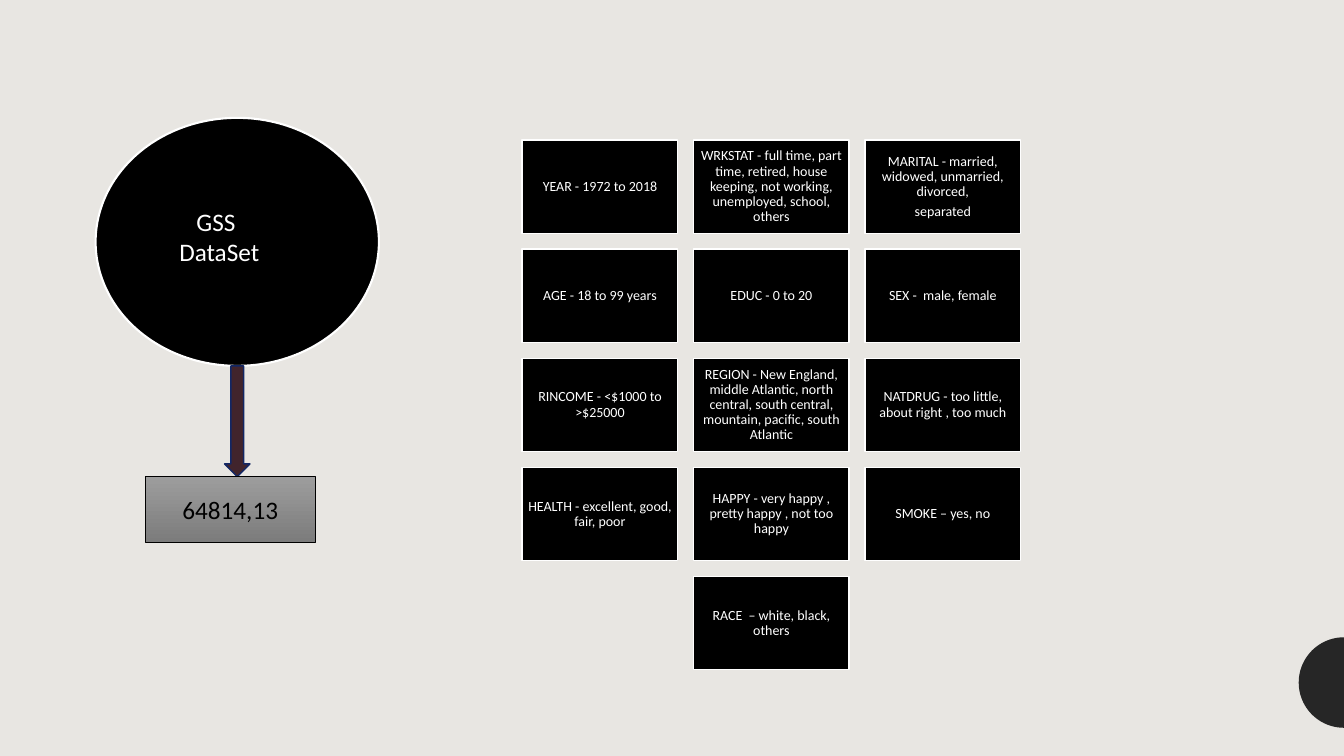
from math import cos, pi, sin

from pptx import Presentation
from pptx.dml.color import RGBColor
from pptx.enum.shapes import MSO_SHAPE
from pptx.enum.text import MSO_ANCHOR, PP_ALIGN
from pptx.util import Cm, Pt

OVAL, DOWN, RECT = MSO_SHAPE.OVAL, MSO_SHAPE.DOWN_ARROW, MSO_SHAPE.RECTANGLE
MIDDLE, CENTER = MSO_ANCHOR.MIDDLE, PP_ALIGN.CENTER


class Theme:
    font = "Calibri"
    large, small = Pt(18), Pt(10)
    back = RGBColor.from_string("E8E6E2")
    black = RGBColor.from_string("000000")
    white = RGBColor.from_string("FFFFFF")
    dark = RGBColor.from_string("262626")
    plum = RGBColor.from_string("41242C")
    navy = RGBColor.from_string("122765")
    light = RGBColor.from_string("9D9D9D")
    gray = RGBColor.from_string("7C7C7C")


def draw(kind, x, y, w, h, fill, line, width):
    shape = slide.shapes.add_shape(kind, Cm(x), Cm(y), Cm(w), Cm(h))
    shape.shadow.inherit = False
    shape.fill.solid()
    shape.fill.fore_color.rgb = fill
    shape.line.color.rgb = line
    shape.line.width = Pt(width)
    return shape


def write(frame, text, size, color):
    frame.word_wrap = True
    frame.text = text
    for para in frame.paragraphs:
        para.font.name = Theme.font
        para.font.size = size
        para.font.color.rgb = color


deck = Presentation()
deck.slide_width, deck.slide_height = Cm(33.87), Cm(19.05)
slide = deck.slides.add_slide(deck.slide_layouts[6])
slide.background.fill.solid()
slide.background.fill.fore_color.rgb = Theme.back

# Half disc at the right edge
edge, mid, radius, steps = 33.87, 17.2, 1.14, 48
arc = [(Cm(edge - radius * sin(pi * i / steps)),
        Cm(mid - radius * cos(pi * i / steps))) for i in range(steps + 1)]
pen = slide.shapes.build_freeform(*arc[0])
pen.add_line_segments(arc[1:], close=True)
disc = pen.convert_to_shape()
disc.shadow.inherit = False
disc.fill.solid()
disc.fill.fore_color.rgb = Theme.dark
disc.line.fill.background()

# Data set circle and its label
draw(OVAL, 2.41, 2.97, 7.14, 6.25, Theme.black, Theme.white, 1.5)
label = slide.shapes.add_textbox(Cm(4.27), Cm(5.08), Cm(3.02), Cm(1.8))
write(label.text_frame, "GSS DataSet", Theme.large, Theme.white)
props = label.text_frame.paragraphs[0]._p.get_or_add_pPr()
props.set("marL", "0")
props.set("indent", str(Cm(0.43)))

# Arrow to the size of the data set
draw(DOWN, 5.66, 9.22, 0.64, 2.79, Theme.plum, Theme.navy, 1)
total = draw(RECT, 3.66, 12.01, 4.29, 1.65, Theme.gray, Theme.black, 0.5)
total.fill.gradient()
total.fill.gradient_angle = 270
for stop, color in zip(total.fill.gradient_stops, (Theme.light, Theme.gray)):
    stop.color.rgb = color
total.text_frame.vertical_anchor = MIDDLE
write(total.text_frame, "64814,13", Theme.large, Theme.black)
total.text_frame.paragraphs[0].alignment = CENTER

# Grid of variables, None for an empty place
fields = [
    "YEAR - 1972 to 2018",
    "WRKSTAT - full time, part time, retired, house keeping, "
    "not working, unemployed, school, others",
    "MARITAL - married, widowed, unmarried, divorced,\nseparated",
    "AGE - 18 to 99 years",
    "EDUC - 0 to 20",
    "SEX -  male, female",
    "RINCOME - <$1000 to >$25000",
    "REGION - New England, middle Atlantic, north central, "
    "south central, mountain, pacific, south Atlantic",
    "NATDRUG - too little, about right , too much",
    "HEALTH - excellent, good, fair, poor",
    "HAPPY - very happy , pretty happy , not too happy",
    "SMOKE – yes, no",
    None,
    "RACE  – white, black, others",
]
for i, field in enumerate(fields):
    if field is None:
        continue
    row, col = divmod(i, 3)
    card = draw(RECT, 13.16 + 4.32 * col, 3.53 + 2.75 * row, 3.92, 2.35,
                Theme.black, Theme.white, 1)
    frame = card.text_frame
    frame.vertical_anchor = MIDDLE
    frame.margin_left = frame.margin_right = Cm(0.1)
    frame.margin_top = frame.margin_bottom = Cm(0.1)
    write(frame, field, Theme.small, Theme.white)
    for para in frame.paragraphs:
        para.alignment = CENTER
        para.line_spacing = 0.9
        para.space_after = Pt(3.5)

deck.save("out.pptx")
